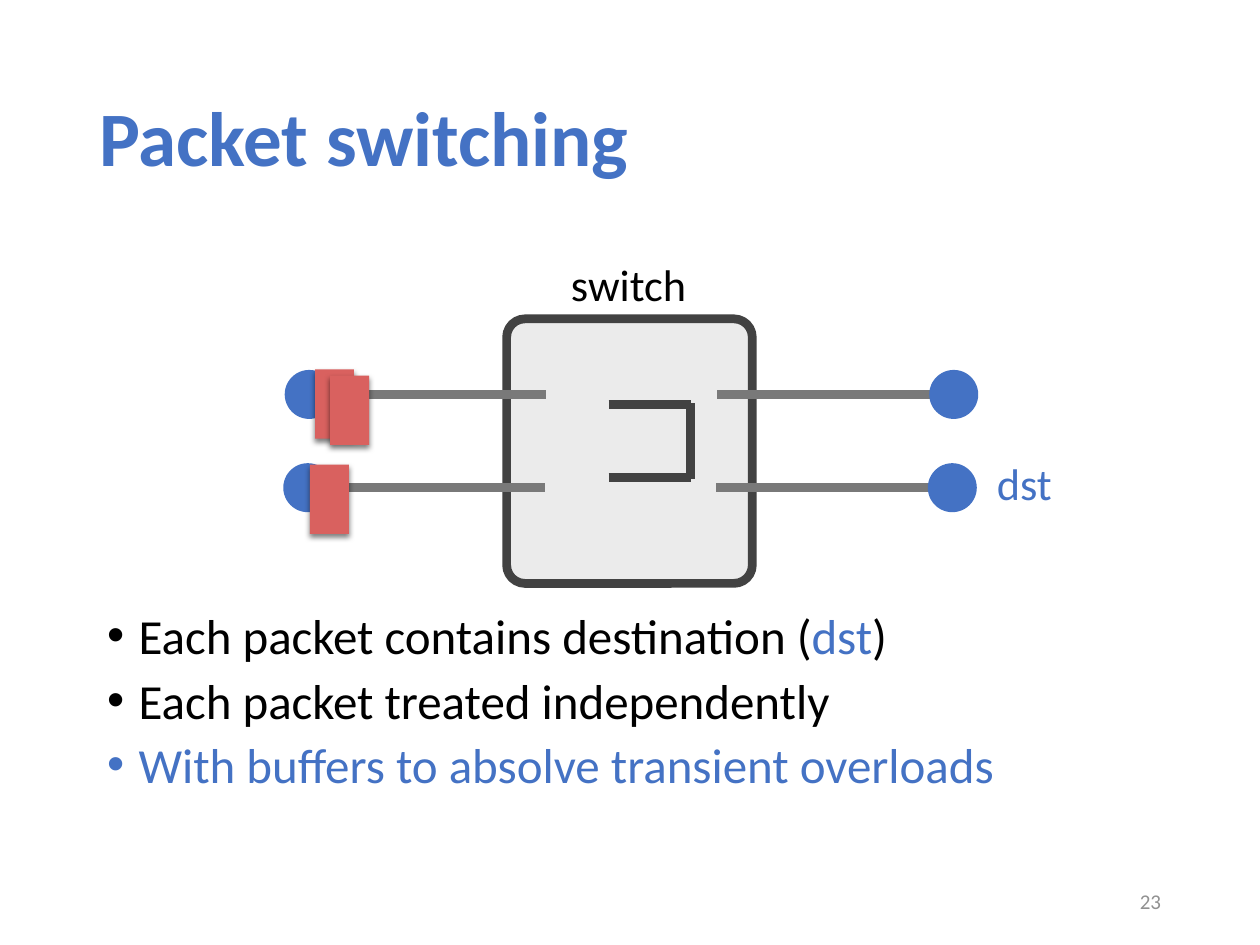
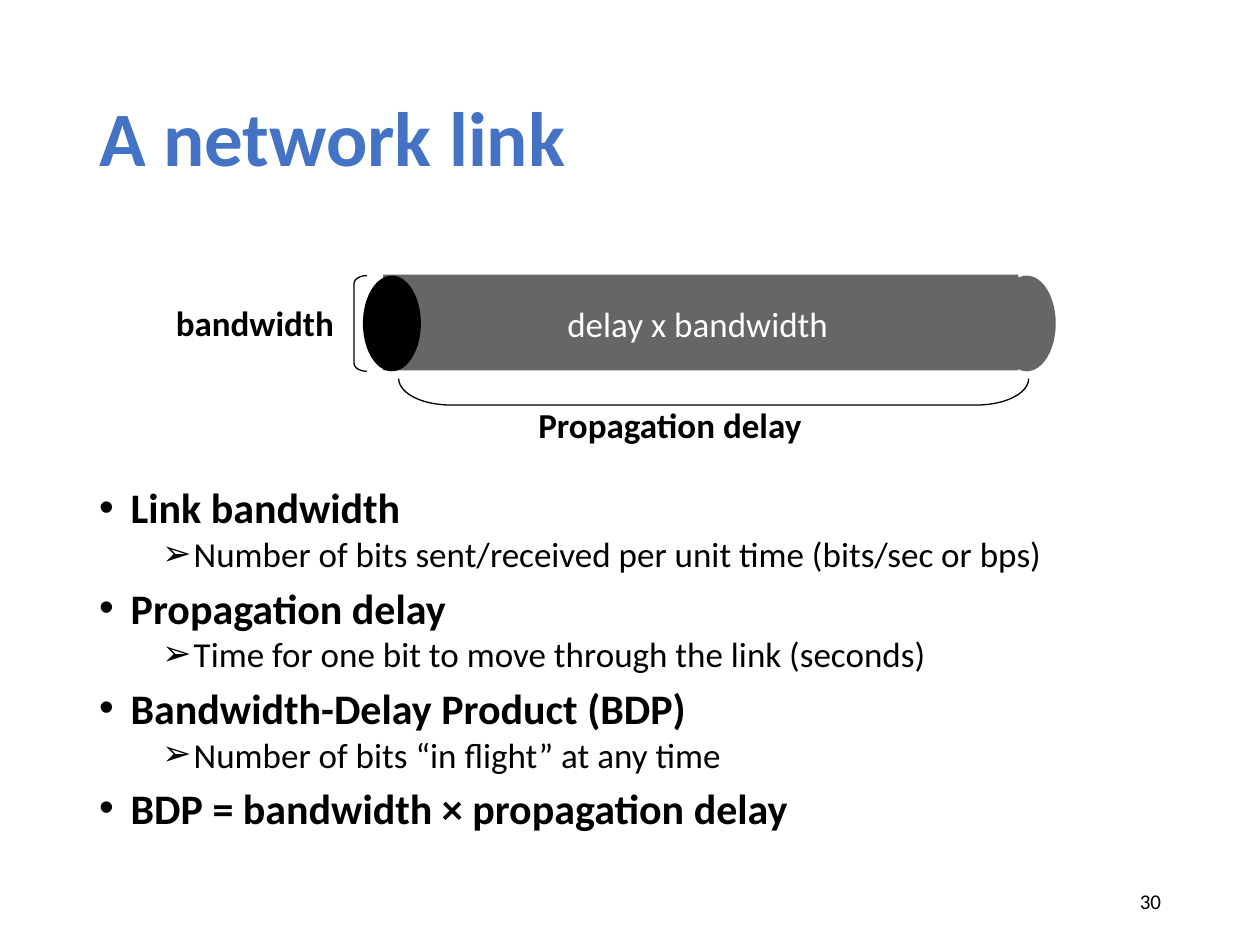
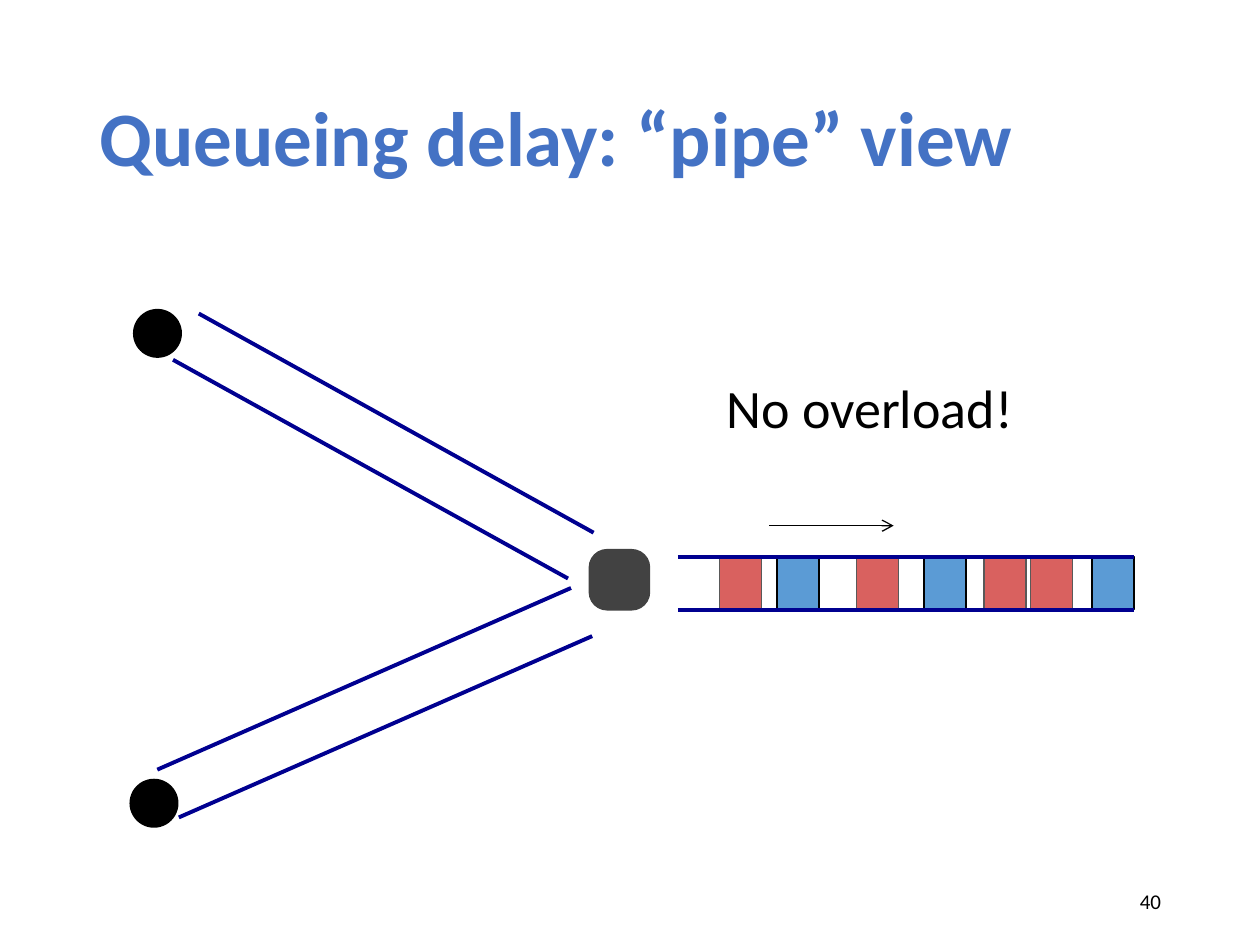
from dataclasses import dataclass

from lxml import etree
from pptx import Presentation
from pptx.dml import color
from pptx.enum import shapes, text
from pptx.oxml import ns
from pptx.util import Pt

SHAPE = shapes.MSO_SHAPE
ALIGN = text.PP_ALIGN


def rgb(value):
    return color.RGBColor.from_string(value)


def add_xml(parent, tag, **attributes):
    return etree.SubElement(parent, ns.qn(tag), attributes)


@dataclass(frozen=True)
class Theme:
    font: str = "Calibri"
    accent: str = "4472C4"
    black: str = "000000"
    white: str = "FFFFFF"
    dark: str = "424242"
    link: str = "797979"
    panel: str = "EBEBEB"
    pipe: str = "666666"
    rail: str = "000090"
    red: str = "D9615F"
    red_edge: str = "595959"
    blue: str = "5B9BD5"
    muted: str = "919191"
    title: float = 44
    bullets: float = 28
    topic: float = 24
    detail: float = 20
    caption: float = 25.3
    remark: float = 30.9
    number: float = 12
    thick: float = 5
    medium: float = 2.25
    thin: float = 0.75
    node: float = 28


class Deck:
    def __init__(self, theme):
        self.theme = theme
        self.presentation = Presentation()
        self.presentation.slide_width = Pt(720)
        self.presentation.slide_height = Pt(540)
        self.slide = None

    def start(self, title, number, number_color=None, has_body=False):
        layout = self.presentation.slide_layouts[1 if has_body else 5]
        self.slide = self.presentation.slides.add_slide(layout)
        shape = self.slide.shapes.title
        self.place(shape, 49.5, 28.8, 620.5, 104.4)
        frame = shape.text_frame
        frame.text = title
        frame.vertical_anchor = text.MSO_ANCHOR.MIDDLE
        frame.auto_size = text.MSO_AUTO_SIZE.NONE
        paragraph = frame.paragraphs[0]
        paragraph.alignment = ALIGN.LEFT
        paragraph.line_spacing = 0.9
        self.style(paragraph, self.theme.title, self.theme.accent, True)
        self.label(str(number), 508.5, 500.5, 162, 28.8, self.theme.number,
                   number_color or self.theme.black, align=ALIGN.RIGHT,
                   middle=True, grow=False)

    def place(self, shape, left, top, width, height):
        shape.left, shape.top = Pt(left), Pt(top)
        shape.width, shape.height = Pt(width), Pt(height)

    def style(self, paragraph, size, ink, bold=False):
        for run in paragraph.runs:
            run.font.name = self.theme.font
            run.font.size = Pt(size)
            run.font.bold = bold
            run.font.color.rgb = rgb(ink)

    def body(self, left, top, width, height, first_line):
        shape = self.slide.placeholders[1]
        self.place(shape, left, top, width, height)
        frame = shape.text_frame
        frame.margin_top = Pt(first_line)
        frame.vertical_anchor = text.MSO_ANCHOR.TOP
        frame.auto_size = text.MSO_AUTO_SIZE.NONE
        return frame

    def bullet(self, frame, content, size, ink=None, bold=False, level=0):
        paragraph = frame.paragraphs[0]
        if paragraph.runs:
            paragraph = frame.add_paragraph()
        paragraph.text = content
        paragraph.level = level
        paragraph.line_spacing = 0.8
        paragraph.space_before = Pt(5 if level else 10)
        self.style(paragraph, size, ink or self.theme.black, bold)
        properties = paragraph._p.get_or_add_pPr()
        properties.set("marL", str(Pt(54 if level else 18)))
        properties.set("indent", str(Pt(-18)))
        add_xml(properties, "a:buChar", char="➢" if level else "•")
        return paragraph

    def extend(self, paragraph, content, size, ink):
        run = paragraph.add_run()
        run.text = content
        run.font.name = self.theme.font
        run.font.size = Pt(size)
        run.font.color.rgb = rgb(ink)

    def label(self, content, left, top, width, height, size, ink, bold=False,
              align=ALIGN.LEFT, middle=False, grow=True, wrap=True, inset=None):
        shape = self.slide.shapes.add_textbox(Pt(left), Pt(top), Pt(width), Pt(height))
        frame = shape.text_frame
        frame.text = content
        frame.word_wrap = wrap
        if grow:
            frame.auto_size = text.MSO_AUTO_SIZE.SHAPE_TO_FIT_TEXT
        if middle:
            frame.vertical_anchor = text.MSO_ANCHOR.MIDDLE
        if inset is not None:
            frame.margin_left = frame.margin_right = Pt(inset)
            frame.margin_top = frame.margin_bottom = Pt(inset)
        frame.paragraphs[0].alignment = align
        self.style(frame.paragraphs[0], size, ink, bold)

    def shape(self, kind, left, top, width, height, fill=None, edge=None,
              weight=0.75, adjust=None, rotation=0):
        shape = self.slide.shapes.add_shape(kind, Pt(left), Pt(top), Pt(width), Pt(height))
        shape.shadow.inherit = False
        shape.rotation = rotation
        if adjust is not None:
            shape.adjustments[0] = adjust
        if fill:
            shape.fill.solid()
            shape.fill.fore_color.rgb = rgb(fill)
        else:
            shape.fill.background()
        if edge:
            shape.line.color.rgb = rgb(edge)
            shape.line.width = Pt(weight)
        else:
            shape.line.fill.background()
        return shape

    def node(self, left, top, fill):
        self.shape(SHAPE.OVAL, left, top, self.theme.node, self.theme.node, fill)

    def packet(self, left, top):
        shape = self.shape(SHAPE.RECTANGLE, left, top, 22.3, 39.6, self.theme.red)
        effects = shape._element.spPr.find(ns.qn("a:effectLst"))
        shadow = add_xml(effects, "a:outerShdw", blurRad=str(Pt(3)), dist=str(Pt(2)),
                         dir="5400000", rotWithShape="0")
        ink = add_xml(shadow, "a:srgbClr", val=self.theme.black)
        add_xml(ink, "a:alpha", val="50000")

    def line(self, x1, y1, x2, y2, ink, weight, arrow=False):
        connector = self.slide.shapes.add_connector(
            shapes.MSO_CONNECTOR.STRAIGHT, Pt(x1), Pt(y1), Pt(x2), Pt(y2))
        connector.line.color.rgb = rgb(ink)
        connector.line.width = Pt(weight)
        if arrow:
            add_xml(connector.line._get_or_add_ln(), "a:tailEnd", type="arrow")
        add_xml(connector._element.spPr, "a:effectLst")

    def save(self):
        self.presentation.save("out.pptx")


def packet_switching(deck):
    theme = deck.theme
    deck.start("Packet switching", 23, theme.muted, has_body=True)
    frame = deck.body(54, 126, 624, 348, 226.5)
    paragraph = deck.bullet(frame, "Each packet contains destination (", theme.bullets)
    deck.extend(paragraph, "dst", theme.bullets, theme.accent)
    deck.extend(paragraph, ")", theme.bullets, theme.black)
    deck.bullet(frame, "Each packet treated independently", theme.bullets)
    deck.bullet(frame, "With buffers to absolve transient overloads", theme.bullets, theme.accent)

    deck.shape(SHAPE.ROUNDED_RECTANGLE, 289.5, 182.2, 140.4, 151.2, theme.panel,
               theme.dark, theme.thick, adjust=0.075)
    for shift, middle in ((0, 225.4), (-0.8, 278.7)):
        for start, end, node in ((180, 312, 162.7), (410, 541.5, 531)):
            deck.line(start + shift, middle, end + shift, middle, theme.link, theme.thick)
            deck.node(node + shift, middle - theme.node / 2, theme.accent)
    for left, top in ((180, 211), (188.6, 214.6), (177.1, 265.5)):
        deck.packet(left, top)
    for content, left, top, width, ink in (
            ("switch", 323.3, 144, 76.3, theme.black),
            ("dst", 566.6, 257.8, 37.4, theme.accent)):
        deck.label(content, left, top, width, 36, theme.caption, ink,
                   middle=True, wrap=False, inset=3)
    deck.line(394.6, 273.6, 394.6, 230.4, theme.dark, theme.thick)
    for y in (231.1, 272.9):
        deck.line(347.8, y, 394.6, y, theme.dark, theme.thick)


def network_link(deck):
    theme = deck.theme
    deck.start("A network link", 30, has_body=True)
    frame = deck.body(49.5, 144, 620.5, 342.7, 137)
    for topic, detail in (
            ("Link bandwidth", "Number of bits sent/received per unit time (bits/sec or bps)"),
            ("Propagation delay", "Time for one bit to move through the link (seconds)"),
            ("Bandwidth-Delay Product (BDP)", "Number of bits “in flight” at any time"),
            ("BDP = bandwidth × propagation delay", None)):
        deck.bullet(frame, topic, theme.topic, bold=True)
        if detail:
            deck.bullet(frame, detail, theme.detail, level=1)

    deck.shape(SHAPE.OVAL, 570.2, 157.5, 33.1, 54.7, theme.pipe)
    deck.shape(SHAPE.RECTANGLE, 219, 157, 363, 54.7, theme.pipe)
    deck.shape(SHAPE.OVAL, 207.4, 157.5, 33.1, 54.7, theme.black)
    deck.shape(SHAPE.LEFT_BRACKET, 202.3, 157.5, 7.4, 54.7, edge=theme.black, adjust=0.606)
    deck.shape(SHAPE.LEFT_BRACKET, 400.3, 43.9, 15.1, 360, edge=theme.black,
               adjust=1.983, rotation=270)
    for content, left, top, width, ink, bold in (
            ("bandwidth", 92.2, 168.5, 105.8, theme.black, True),
            ("Propagation delay", 298.8, 226.8, 166.3, theme.black, True),
            ("delay x bandwidth", 315.4, 169.2, 164.9, theme.white, False)):
        deck.label(content, left, top, width, 31.5, theme.detail, ink, bold,
                   align=ALIGN.RIGHT, wrap=False)


def queueing_delay(deck):
    theme = deck.theme
    top, height = 318.2, 30.2
    deck.start("Queueing delay: “pipe” view", 40)

    def rails(left):
        for y in (top, top + height):
            deck.line(left, y, left + 257.8, y, theme.rail, theme.medium)

    def packets(lefts, fill, edge):
        for left in lefts:
            deck.shape(SHAPE.RECTANGLE, left, top, 24, height, fill, edge, theme.thin)

    for ends in ((113.6, 179.2, 339.2, 304.4), (98.9, 205.6, 324.6, 330.6),
                 (89.9, 439.8, 326.3, 336), (102.2, 467.1, 338.4, 363.5)):
        deck.line(*ends, theme.rail, theme.medium)
    rails(387.4)
    packets((589, 562.3, 489.4, 411.3), theme.red, theme.red_edge)
    deck.label("No overload!", 408.2, 210.2, 246.2, 44.6, theme.remark, theme.black)
    for left, node_top in ((76, 176.5), (74, 445)):
        deck.node(left, node_top, theme.black)
    deck.shape(SHAPE.ROUNDED_RECTANGLE, 336.4, 313.7, 35.2, 35.2, theme.dark, adjust=0.3)
    deck.line(439.6, 300.4, 510.7, 300.4, theme.black, theme.thin, arrow=True)
    packets((444, 624, 528), theme.blue, theme.black)
    rails(390.2)


deck = Deck(Theme())
packet_switching(deck)
network_link(deck)
queueing_delay(deck)
deck.save()
